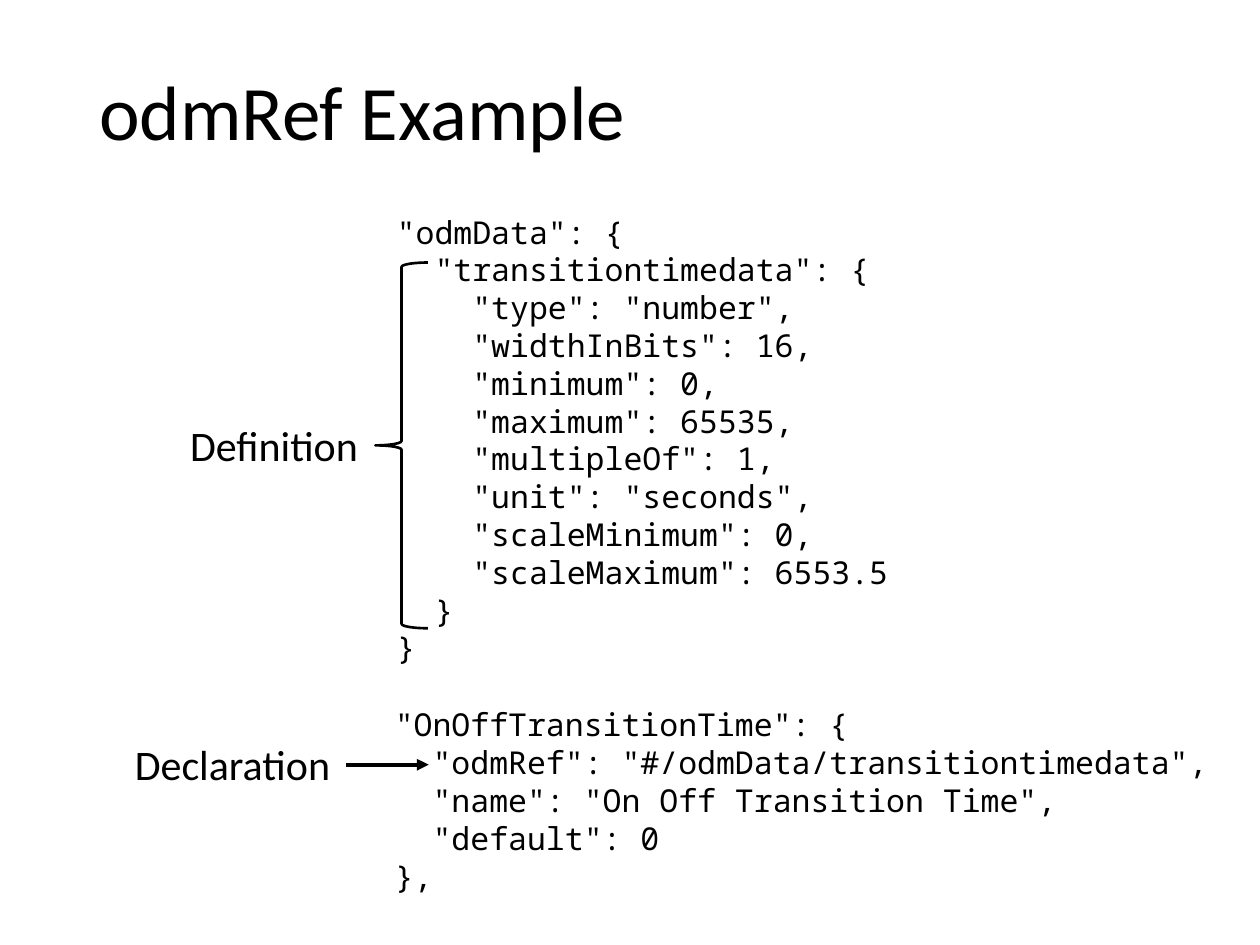
from pptx import Presentation
from pptx.dml.color import RGBColor
from pptx.enum.shapes import MSO_CONNECTOR as LINK, MSO_SHAPE as SHAPE
from pptx.enum.text import MSO_ANCHOR as ANCHOR, MSO_AUTO_SIZE as FIT, PP_ALIGN as ALIGN
from pptx.oxml.ns import qn
from pptx.util import Pt
from lxml.etree import SubElement as sub

BLACK = RGBColor(0, 0, 0)
SANS, MONO = "Calibri", "Noto Sans Mono"
STEP = 21.6  # one code level: two characters wide

DATA = [
    (0, '"odmData": {'),
    (1, '"transitiontimedata": {'),
    (2, '"type": "number",'),
    (2, '"widthInBits": 16,'),
    (2, '"minimum": 0,'),
    (2, '"maximum": 65535,'),
    (2, '"multipleOf": 1,'),
    (2, '"unit": "seconds",'),
    (2, '"scaleMinimum": 0,'),
    (2, '"scaleMaximum": 6553.5'),
    (1, '}'),
    (0, '}'),
]
TIME = [
    (0, '"OnOffTransitionTime": {'),
    (1, '"odmRef": "#/odmData/transitiontimedata",'),
    (1, '"name": "On Off Transition Time",'),
    (1, '"default": 0'),
    (0, '},'),
]


def style(para, face, size):
    """Set the font of a paragraph."""
    font = para.font
    font.name, font.size = face, Pt(size)
    font.color.rgb = BLACK


def set_title(slide, text, box):
    """Place and format the title."""
    title = slide.shapes.title
    title.left, title.top, title.width, title.height = map(Pt, box)
    frame = title.text_frame
    frame.text = text
    frame.auto_size = FIT.NONE
    frame.vertical_anchor = ANCHOR.MIDDLE
    para = frame.paragraphs[0]
    para.alignment = ALIGN.LEFT
    para.line_spacing = 0.9
    style(para, SANS, 44)


def add_code(slide, lines, box):
    """Add a block of code, indented by level."""
    frame = slide.shapes.add_textbox(*map(Pt, box)).text_frame
    frame.word_wrap = True
    for i, (level, text) in enumerate(lines):
        para = frame.add_paragraph() if i else frame.paragraphs[0]
        para.text = text
        para.line_spacing = Pt(STEP)
        para._p.get_or_add_pPr().set("marL", str(Pt(level * STEP)))
        style(para, MONO, 18)


def add_label(slide, text, box):
    """Add a one-line label."""
    frame = slide.shapes.add_textbox(*map(Pt, box)).text_frame
    frame.word_wrap = False
    frame.auto_size = FIT.SHAPE_TO_FIT_TEXT
    frame.text = text
    style(frame.paragraphs[0], SANS, 24)


def add_brace(slide, box):
    """Add a left brace."""
    brace = slide.shapes.add_shape(SHAPE.LEFT_BRACE, *map(Pt, box))
    brace.shadow.inherit = False
    brace.fill.background()
    brace.line.color.rgb = BLACK
    brace.line.width = Pt(1.5)


def add_arrow(slide, ends):
    """Add a straight arrow."""
    arrow = slide.shapes.add_connector(LINK.STRAIGHT, *map(Pt, ends))
    arrow.line.color.rgb = BLACK
    arrow.line.width = Pt(2.25)
    sub(arrow.line._get_or_add_ln(), qn("a:tailEnd"), type="triangle")
    sub(arrow._element.spPr, qn("a:effectLst"))


def main():
    """Build the slide."""
    deck = Presentation()
    deck.slide_width, deck.slide_height = Pt(720), Pt(540)
    slide = deck.slides.add_slide(deck.slide_layouts[5])
    set_title(slide, "odmRef Example", (49.5, 14, 621, 104))
    add_code(slide, DATA, (219.6, 118, 306, 269))
    add_code(slide, TIME, (218.5, 399.6, 480, 117))
    add_label(slide, "Definition", (101.5, 236, 111.6, 36))
    add_label(slide, "Declaration", (70, 418.5, 127.4, 36))
    add_brace(slide, (214.5, 150, 30, 209))
    add_arrow(slide, (197.5, 437, 245, 437))
    deck.save("out.pptx")


main()
